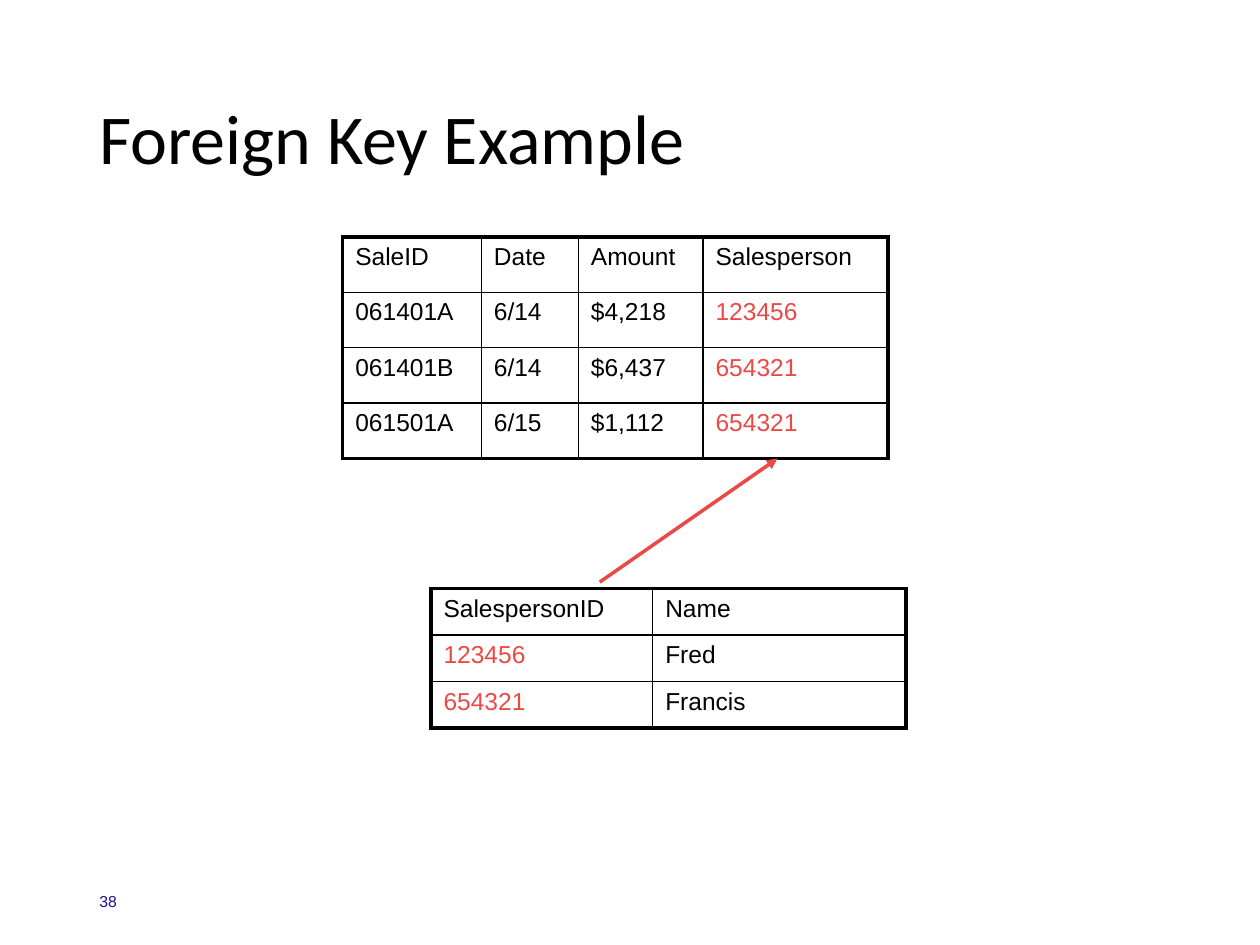
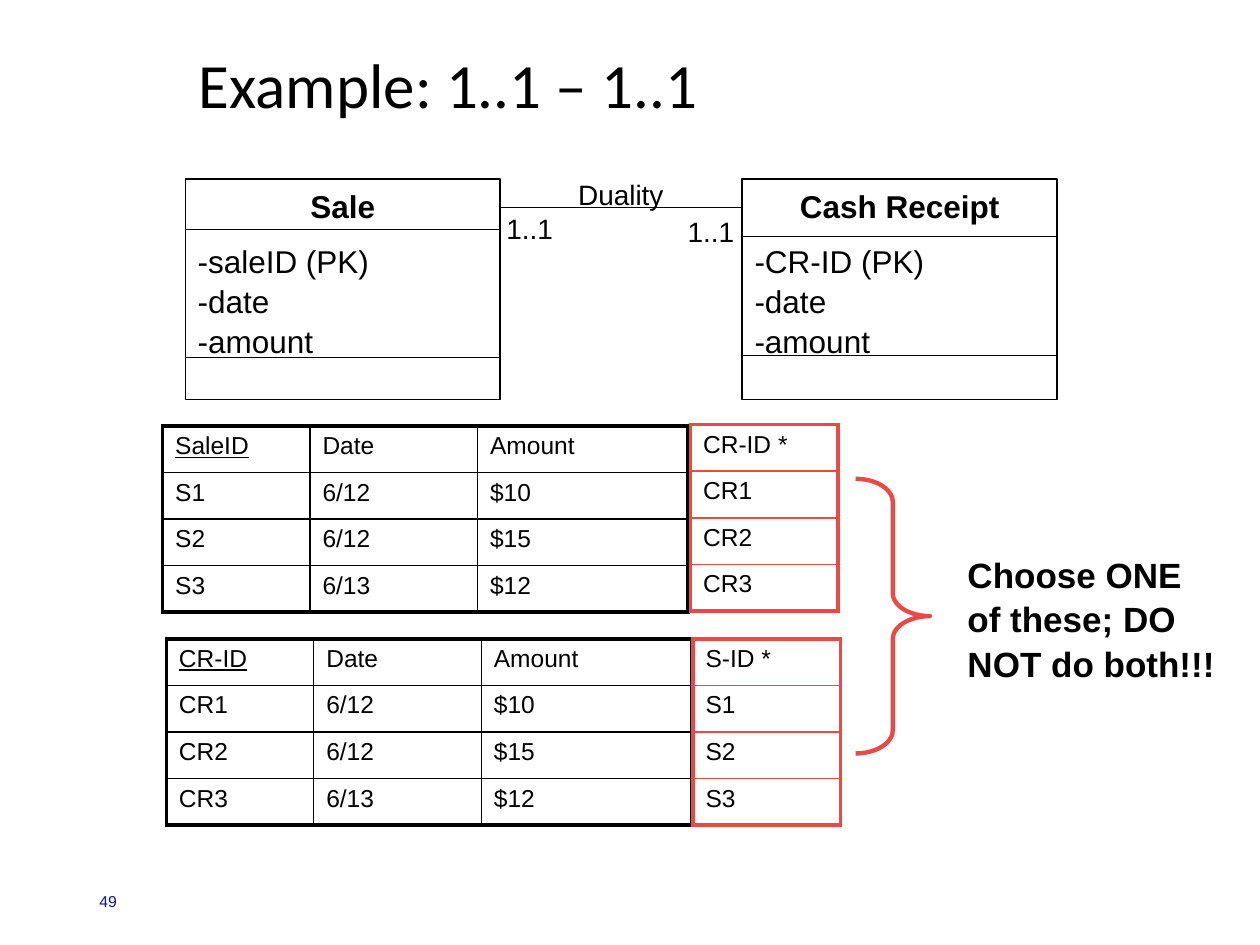
from itertools import accumulate
from lxml.etree import SubElement
from pptx import Presentation
from pptx.dml.color import RGBColor
from pptx.enum.shapes import MSO_CONNECTOR as Connector, MSO_SHAPE as Shape
from pptx.enum.text import MSO_ANCHOR as Anchor, PP_ALIGN as Align
from pptx.oxml.ns import qn
from pptx.util import Pt

SCALE = 9144
BLACK, RED, NAVY, WHITE = "000000", "EB4945", "19138D", "FFFFFF"
BODY_FONT, TITLE_FONT = "Arial", "Calibri"
LINE_SPACING = 1.05
THICK, THIN = 2.25, 1
NUMBER_AREA = (69, 695, 225, 40)

FOREIGN_KEY = {
    "title": "Foreign Key Example", "title_area": (69, 40, 862, 145),
    "title_size": 40, "number": "38",
    "tables": [
        {"at": (342, 467), "columns": (176, 201), "row_height": 37, "red_column": 0,
         "rows": [("SalespersonID", "Name"), ("123456", "Fred"), ("654321", "Francis")]},
        {"at": (272, 188), "columns": (110, 77, 99, 147), "row_height": 44, "red_column": 3,
         "rows": [("SaleID", "Date", "Amount", "Salesperson"),
                  ("061401A", "6/14", "$4,218", "123456"),
                  ("061401B", "6/14", "$6,437", "654321"),
                  ("061501A", "6/15", "$1,112", "654321")]},
    ],
}
KEY_ARROW = ((476, 462), (617, 364))

SALE_COLUMNS = (117, 133, 167)
POSTED_COLUMN = (117,)
DUALITY = {
    "title": "Example: 1..1 – 1..1", "title_area": (148, 25, 515, 90),
    "title_size": 36, "number": "49",
    "tables": [
        {"at": (129, 338), "columns": SALE_COLUMNS, "row_height": 37, "key": True,
         "rows": [("SaleID", "Date", "Amount"), ("S1", "6/12", "$10"),
                  ("S2", "6/12", "$15"), ("S3", "6/13", "$12")]},
        {"at": (132, 507), "columns": SALE_COLUMNS, "row_height": 37, "key": True,
         "rows": [("CR-ID", "Date", "Amount"), ("CR1", "6/12", "$10"),
                  ("CR2", "6/12", "$15"), ("CR3", "6/13", "$12")]},
        {"at": (548, 337), "columns": POSTED_COLUMN, "row_height": 37, "border": RED,
         "fill": WHITE, "rows": [("CR-ID *",), ("CR1",), ("CR2",), ("CR3",)]},
        {"at": (550, 507), "columns": POSTED_COLUMN, "row_height": 37, "border": RED,
         "fill": WHITE, "rows": [("S-ID *",), ("S1",), ("S2",), ("S3",)]},
    ],
}
ENTITY_TOP, ENTITY_WIDTH, ENTITY_HEIGHT = 142, 250, 175
ENTITIES = [
    ("Sale", 147, ("-saleID (PK)", "-date", "-amount"), (182, 284)),
    ("Cash Receipt", 589, ("-CR-ID (PK)", "-date", "-amount"), (188, 282)),
]
ASSOCIATION = ((397, 165), (589, 165))
ASSOCIATION_LABELS = [
    ("1..1", (392, 162, 77, 37)),
    ("1..1", (536, 164, 77, 37)),
    ("Duality", (449, 135, 88, 37)),
]
BRACE_AREA = (679, 380, 59, 218)
WARNING = ("Choose ONE of these; DO NOT do both!!!", (758, 433, 222, 110))


def px(length):
    return int(length * SCALE)


def place(area):
    return [px(length) for length in area]


def rgb(color):
    return RGBColor.from_string(color)


def style(paragraph, size, color=BLACK, name=BODY_FONT, bold=False):
    font = paragraph.font
    font.name, font.size, font.bold = name, Pt(size), bold
    font.color.rgb = rgb(color)


def add_text(page, text, area, size, color=BLACK, name=BODY_FONT, bold=False,
             anchor=Anchor.TOP, spacing=LINE_SPACING):
    box = page.shapes.add_textbox(*place(area))
    frame = box.text_frame
    frame.word_wrap = True
    frame.vertical_anchor = anchor
    paragraph = frame.paragraphs[0]
    paragraph.text = text
    paragraph.line_spacing = spacing
    style(paragraph, size, color, name, bold)


def add_line(page, start, end, color=BLACK, width=0.5, arrow=False):
    line = page.shapes.add_connector(Connector.STRAIGHT, *place(start + end))
    line.line.color.rgb = rgb(color)
    line.line.width = Pt(width)
    if arrow:
        SubElement(line.line._get_or_add_ln(), qn("a:tailEnd"), type="triangle")
    SubElement(line._element.spPr, qn("a:effectLst"))


def add_outline(page, kind, area, color, width):
    shape = page.shapes.add_shape(kind, *place(area))
    shape.shadow.inherit = False
    shape.fill.background()
    shape.line.color.rgb = rgb(color)
    shape.line.width = Pt(width)
    return shape


def set_borders(cell, color, outer_sides):
    properties = cell._tc.get_or_add_tcPr()
    for side, outer in zip("LRTB", outer_sides):
        width = Pt(THICK if outer else THIN)
        border = SubElement(properties, qn(f"a:ln{side}"), w=str(int(width)))
        fill = SubElement(border, qn("a:solidFill"))
        SubElement(fill, qn("a:srgbClr"), val=color)


def add_table(page, at, columns, row_height, rows, red_column=None, key=False,
              border=BLACK, fill=None):
    last_row, last_column = len(rows) - 1, len(columns) - 1
    area = (*at, sum(columns), row_height * len(rows))
    table = page.shapes.add_table(len(rows), len(columns), *place(area)).table
    table.first_row = table.horz_banding = False
    for column, width in zip(table.columns, columns):
        column.width = px(width)
    for r, values in enumerate(rows):
        table.rows[r].height = px(row_height)
        for c, value in enumerate(values):
            cell = table.cell(r, c)
            cell.text = value
            paragraph = cell.text_frame.paragraphs[0]
            style(paragraph, 14, RED if r and c == red_column else BLACK)
            if key and r == c == 0:
                paragraph.font.underline = True
            set_borders(cell, border, (c == 0, c == last_column, r == 0, r == last_row))
            if fill:
                cell.fill.solid()
                cell.fill.fore_color.rgb = rgb(fill)
            else:
                cell.fill.background()


def add_entity(page, name, left, attributes, dividers):
    area = (left, ENTITY_TOP, ENTITY_WIDTH, ENTITY_HEIGHT)
    box = add_outline(page, Shape.RECTANGLE, area, BLACK, 0.75)
    frame = box.text_frame
    frame.vertical_anchor = Anchor.TOP
    frame.text = "\n".join((name, *attributes))
    for index, paragraph in enumerate(frame.paragraphs):
        paragraph.alignment = Align.LEFT if index else Align.CENTER
        paragraph.line_spacing = LINE_SPACING
        style(paragraph, 18, bold=index == 0)
    frame.paragraphs[1].space_before = Pt(9)
    for y in dividers:
        add_line(page, (left, y), (left + ENTITY_WIDTH, y))


def add_page(deck, content):
    page = deck.slides.add_slide(deck.slide_layouts[6])
    add_text(page, content["number"], NUMBER_AREA, 9, NAVY, anchor=Anchor.MIDDLE, spacing=1.0)
    add_text(page, content["title"], content["title_area"], content["title_size"],
             name=TITLE_FONT, anchor=Anchor.MIDDLE, spacing=0.9)
    for table in content["tables"]:
        add_table(page, **table)
    return page


def main():
    deck = Presentation()
    deck.slide_width, deck.slide_height = px(1000), px(750)

    page = add_page(deck, FOREIGN_KEY)
    add_line(page, *KEY_ARROW, color=RED, width=2, arrow=True)

    page = add_page(deck, DUALITY)
    brace = add_outline(page, Shape.RIGHT_BRACE, BRACE_AREA, RED, 2.5)
    brace.adjustments[0] = 0.31
    add_text(page, *WARNING, size=20, bold=True)
    for entity in ENTITIES:
        add_entity(page, *entity)
    add_line(page, *ASSOCIATION)
    for label, area in ASSOCIATION_LABELS:
        add_text(page, label, area, 16)

    deck.save("out.pptx")


if __name__ == "__main__":
    main()
